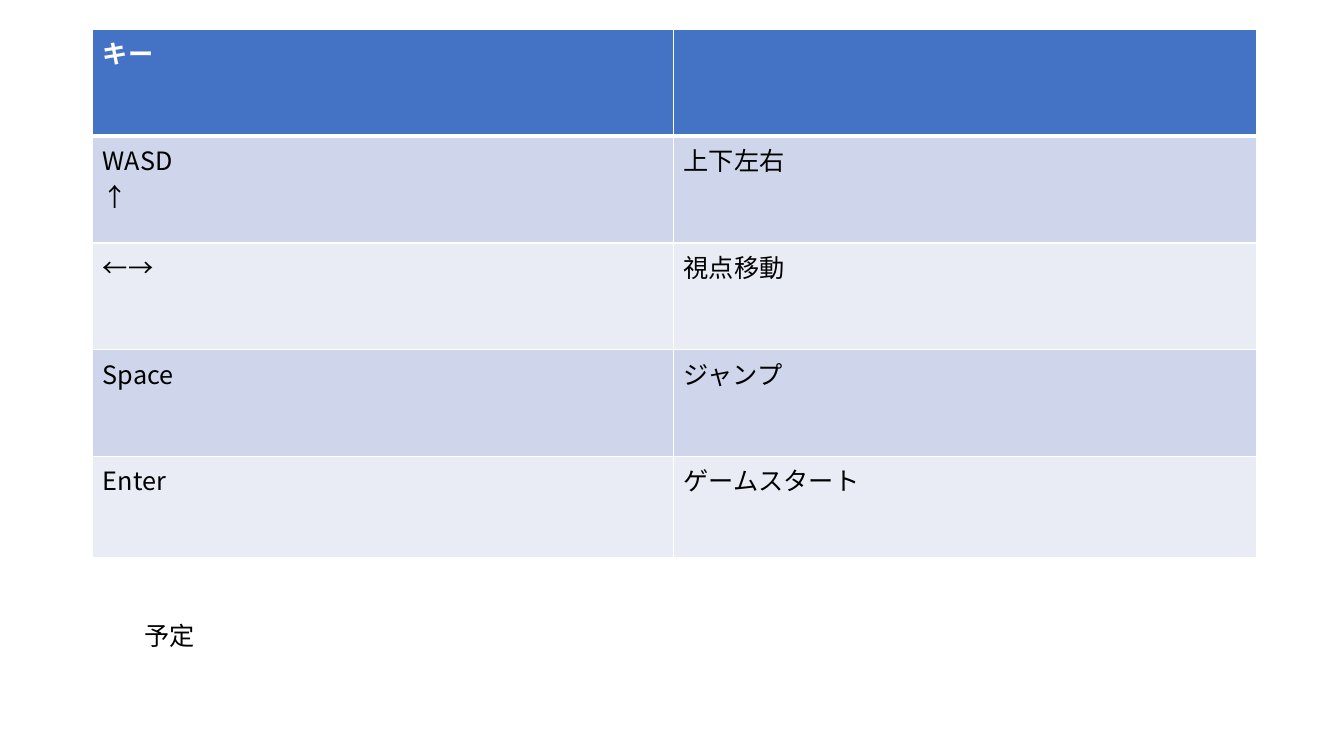
from lxml import etree
from pptx import Presentation
from pptx.dml.color import RGBColor
from pptx.enum import text
from pptx.oxml import ns
from pptx.util import Inches, Pt

FONT = "Noto Sans CJK JP"
WHITE = RGBColor(0xFF, 0xFF, 0xFF)
BLACK = RGBColor(0x00, 0x00, 0x00)
HEADER_BLUE = RGBColor(0x44, 0x72, 0xC4)
BAND_DARK = RGBColor(0xCF, 0xD5, 0xEA)
BAND_LIGHT = RGBColor(0xE9, 0xEB, 0xF5)

KEYS = [
    ("キー", ""),
    ("WASD\n↑", "上下左右"),
    ("←→", "視点移動"),
    ("Space", "ジャンプ"),
    ("Enter", "ゲームスタート"),
]
COLUMN_WIDTHS = [5.76, 5.78]
ROW_HEIGHTS = [1.06, 1.06, 1.06, 1.06, 1]


def write(frame, words, size=18, color=BLACK, bold=False):
    frame.text = words
    for para in frame.paragraphs:
        for span in para.runs:
            span.font.name = FONT
            span.font.size = Pt(size)
            span.font.bold = bold
            span.font.color.rgb = color
            east_asian = etree.SubElement(span.font._element, ns.qn("a:ea"))
            east_asian.set("typeface", FONT)


def draw_border(cell, side, points):
    """Add a white line to one side (L, R, T or B); call in that order, before the fill."""
    line = etree.SubElement(cell._tc.get_or_add_tcPr(), ns.qn(f"a:ln{side}"))
    line.set("w", str(Pt(points)))
    fill = etree.SubElement(line, ns.qn("a:solidFill"))
    etree.SubElement(fill, ns.qn("a:srgbClr")).set("val", str(WHITE))


deck = Presentation()
deck.slide_width = Inches(13.33)
deck.slide_height = Inches(7.5)
page = deck.slides.add_slide(deck.slide_layouts[6])

key_table = page.shapes.add_table(
    len(KEYS), len(COLUMN_WIDTHS), Inches(0.92), Inches(0.29),
    Inches(sum(COLUMN_WIDTHS)), Inches(sum(ROW_HEIGHTS))
).table
for column, width in zip(key_table.columns, COLUMN_WIDTHS):
    column.width = Inches(width)
for row, height in zip(key_table.rows, ROW_HEIGHTS):
    row.height = Inches(height)

for row_index, labels in enumerate(KEYS):
    is_header = row_index == 0
    band = HEADER_BLUE if is_header else BAND_DARK if row_index % 2 else BAND_LIGHT
    for column_index, label in enumerate(labels):
        cell = key_table.cell(row_index, column_index)
        top = 3 if row_index == 1 else 1
        bottom = 3 if is_header else 1
        for side, points in (("L", 1), ("R", 1), ("T", top), ("B", bottom)):
            draw_border(cell, side, points)
        cell.fill.solid()
        cell.fill.fore_color.rgb = band
        write(cell.text_frame, label, color=WHITE if is_header else BLACK, bold=is_header)

plan_box = page.shapes.add_textbox(Inches(1.33), Inches(6.11), Inches(3.21), Inches(0.4))
plan_box.text_frame.word_wrap = True
plan_box.text_frame.auto_size = text.MSO_AUTO_SIZE.SHAPE_TO_FIT_TEXT
write(plan_box.text_frame, "予定")

deck.save("out.pptx")
